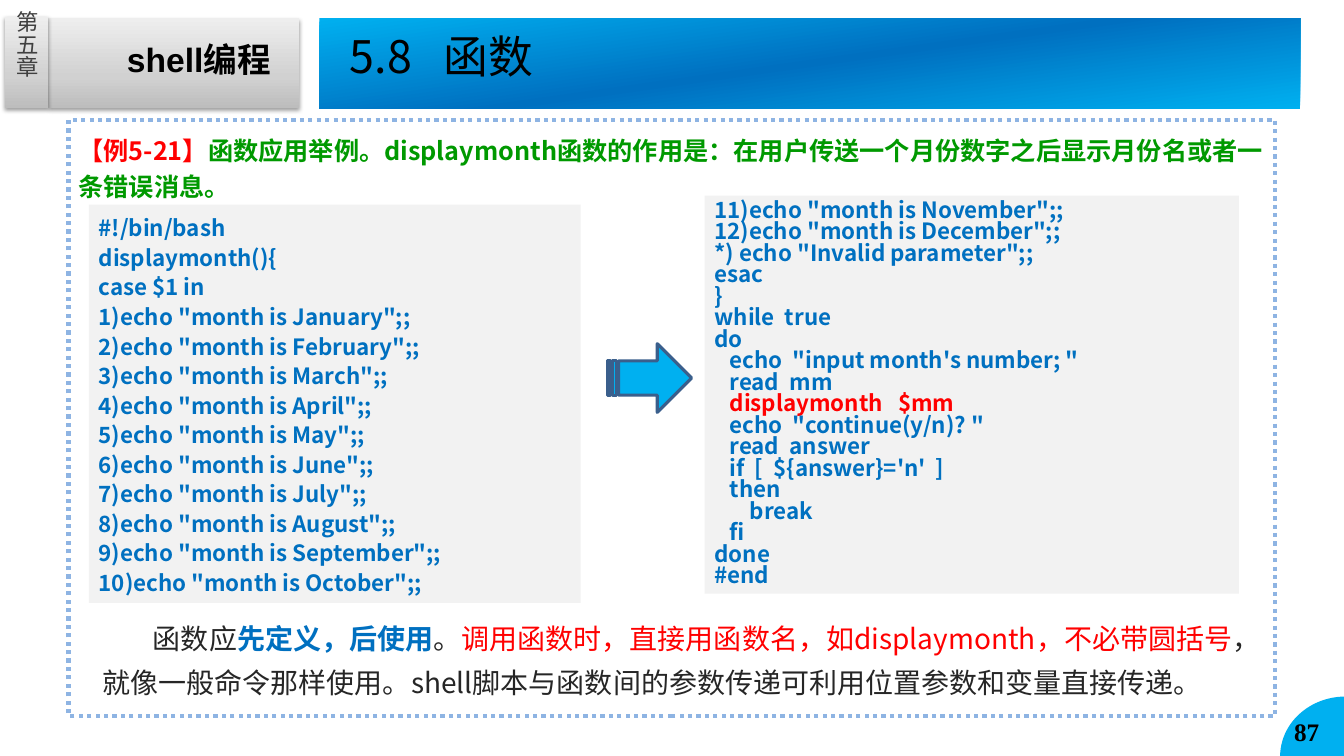
import pptx
import pptx.util
import pptx.dml.color
import pptx.enum.shapes
import pptx.enum.text
import pptx.oxml
from pptx.oxml.ns import nsdecls, qn

Pt = pptx.util.Pt
SHAPE = pptx.enum.shapes.MSO_SHAPE
ANCHOR = pptx.enum.text.MSO_ANCHOR
LEFT = pptx.enum.text.PP_ALIGN.LEFT
CJK = "Noto Sans CJK SC"
COLORS = {
    "black": "000000", "white": "FFFFFF", "ink": "262626", "grey": "404040",
    "panel": "F2F2F2", "blue": "0070C0", "sky": "00B0F0", "red": "FF0000",
    "green": "009900", "border": "8EB4E3", "edge": "3A5F8C",
}
SILVER = [(0, "BDBDBD"), (35, "D1D1D1"), (100, "EEEEEE")]
OCEAN = [(0, COLORS["sky"]), (50, COLORS["blue"]), (100, COLORS["sky"])]


def add_box(kind, x, y, w, h, fill=None, line=None, width=0):
    box = (Pt(x), Pt(y), Pt(w), Pt(h))
    if kind is None:
        sp = s.shapes.add_textbox(*box)
    else:
        sp = s.shapes.add_shape(kind, *box)
        sp.shadow.inherit = False
        if fill:
            sp.fill.solid()
            sp.fill.fore_color.rgb = pptx.dml.color.RGBColor.from_string(COLORS[fill])
        if line:
            sp.line.color.rgb = pptx.dml.color.RGBColor.from_string(COLORS[line])
            sp.line.width = Pt(width)
        else:
            sp.line.fill.background()
    sp.text_frame.word_wrap = True
    return sp


def style_runs(p, size, looks, font=CJK):
    p.alignment = LEFT
    for r, (color, bold) in zip(p.runs, looks):
        r.font.size = Pt(size)
        r.font.bold = bold
        r.font.name = font
        r.font.color.rgb = pptx.dml.color.RGBColor.from_string(COLORS[color])
        r.font.language_id = pptx.enum.lang.MSO_LANGUAGE_ID.SIMPLIFIED_CHINESE
        ea = pptx.oxml.parse_xml(f'<a:ea {nsdecls("a")} typeface="{CJK}"/>')
        r.font.element.append(ea) if hasattr(r.font, "element") else r._r.rPr.append(ea)


prs = pptx.Presentation()
prs.slide_width, prs.slide_height = Pt(960), Pt(540)
s = prs.slides.add_slide(prs.slide_layouts[5])

chapter_band = add_box(SHAPE.RECTANGLE, 34.6, 13, 179.3, 64.1)
sp = add_box(None, 72.7, 24.5, 155.5, 38.2)
sp.text_frame.margin_left = Pt(18)
sp.text_frame.text = "shell编程"
style_runs(sp.text_frame.paragraphs[0], 24, [("black", True)], "Arial")

chapter_tab = add_box(SHAPE.RECTANGLE, 3.6, 12.2, 31, 64.8)
sp = add_box(None, 8.6, 7.9, 20.9, 75.6)
tf = sp.text_frame
tf.margin_left = tf.margin_top = tf.margin_right = tf.margin_bottom = 0
tf.vertical_anchor = ANCHOR.MIDDLE
sp.element.txBody.find(qn("a:bodyPr")).set("vert", "eaVert")
tf.text = "第五章"
style_runs(tf.paragraphs[0], 16, [("grey", False)])

corner = add_box(SHAPE.PIE, 914.4, 497.5, 93.6, 85.7, "sky")
corner.adjustments[0], corner.adjustments[1] = 108, 162
sp = add_box(None, 917.3, 508.3, 51.8, 28.8)
sp.text_frame.text = "87"
style_runs(sp.text_frame.paragraphs[0], 18, [("black", True)], "Times New Roman")

banner = add_box(SHAPE.RECTANGLE, 228.2, 13, 700.6, 64.8)
for sp, stops, angle in ((chapter_band, SILVER, 270), (chapter_tab, SILVER, 270), (banner, OCEAN, 262)):
    gs = "".join(f'<a:gs pos="{pos * 1000}"><a:srgbClr val="{c}"/></a:gs>' for pos, c in stops)
    sp.element.spPr.find(qn("a:prstGeom")).addnext(pptx.oxml.parse_xml(
        f'<a:gradFill {nsdecls("a")} rotWithShape="1"><a:gsLst>{gs}</a:gsLst>'
        f'<a:lin ang="{angle * 60000}" scaled="0"/></a:gradFill>'))
for sp in (chapter_band, chapter_tab):
    sp.element.spPr.find(qn("a:effectLst")).append(pptx.oxml.parse_xml(
        f'<a:outerShdw {nsdecls("a")} blurRad="{Pt(3.1)}" dist="{Pt(1.6)}" dir="5400000" rotWithShape="0">'
        '<a:srgbClr val="000000"><a:alpha val="38000"/></a:srgbClr></a:outerShdw>'))

title = s.shapes.title
title.left, title.top, title.width, title.height = Pt(249.8), Pt(20.2), Pt(254.9), Pt(49.7)
banner.element.addnext(title.element)
tf = title.text_frame
tf.auto_size = pptx.enum.text.MSO_AUTO_SIZE.NONE
tf.margin_left = tf.margin_top = tf.margin_right = tf.margin_bottom = 0
tf.vertical_anchor = ANCHOR.TOP
tf.text = "5.8\t函数"
p = tf.paragraphs[0]
p.alignment = LEFT
p.runs[0].element if hasattr(p.runs[0], "element") else None
p._p.get_or_add_pPr().append(pptx.oxml.parse_xml(
    f'<a:tabLst {nsdecls("a")}><a:tab pos="{Pt(67)}" algn="l"/></a:tabLst>'))
style_runs(p, 32, [("black", False)])

frame = add_box(SHAPE.RECTANGLE, 49, 85.7, 861.8, 425.5, "white", "border", 3)
frame.line.dash_style = pptx.enum.dml.MSO_LINE.ROUND_DOT

INTRO = [
    ("【例5-21】", "red", True),
    ("函数应用举例。displaymonth函数的作用是：在用户传送一个月份数字之后显示月份名或者一条错误消息。", "green", True),
]
USAGE = [
    ("函数应", "ink", False),
    ("先定义，后使用", "blue", True),
    ("。", "ink", False),
    ("调用函数时，直接用函数名，如displaymonth，不必带圆括号", "red", False),
    ("，就像一般命令那样使用。shell脚本与函数间的参数传递可利用位置参数和变量直接传递。", "ink", False),
]
for box, size, spacing, after, indent, parts in (
    ((49, 88.6, 861.8, 59), 18, 1.2, 5, 0, INTRO),
    ((66.2, 433.4, 844.6, 69.8), 20, 1.3, 0, 36, USAGE),
):
    p = add_box(None, *box).text_frame.paragraphs[0]
    p.line_spacing = spacing
    p.space_after = Pt(after)
    p._p.get_or_add_pPr().set("indent", str(Pt(indent)))
    for text, color, bold in parts:
        p.add_run().text = text
    style_runs(p, size, [part[1:] for part in parts])

MONTHS = ["January", "February", "March", "April", "May", "June", "July", "August",
          "September", "October", "November", "December"]
cases = [f'{n})echo "month is {month}";;' for n, month in enumerate(MONTHS, 1)]
CALL = "   displaymonth   $mm"
definition = ["#!/bin/bash", "displaymonth(){", "case $1 in"] + cases[:10]
main_loop = cases[10:] + [
    '*) echo "Invalid parameter";;',
    "esac",
    "}",
    "while  true",
    "do",
    '   echo  "input month\'s number; "',
    "   read  mm",
    CALL,
    '   echo  "continue(y/n)? "',
    "   read  answer",
    "   if  [  ${answer}='n'  ]",
    "   then",
    "       break",
    "   fi",
    "done",
    "#end",
]
for box, spacing, lines in (
    ((63.4, 146.2, 351.4, 284.4), 1.1, definition),
    ((503.3, 139.7, 381.6, 284.4), 0.8, main_loop),
):
    tf = add_box(SHAPE.RECTANGLE, *box, "panel").text_frame
    tf.vertical_anchor = ANCHOR.MIDDLE
    tf.text = "\n".join(lines)
    for p in tf.paragraphs:
        p.line_spacing = spacing
        style_runs(p, 16, [("red" if p.text == CALL else "blue", True)])

add_box(SHAPE.STRIPED_RIGHT_ARROW, 434.2, 245.5, 59.8, 49, "sky", "edge", 2.25)

prs.save("out.pptx")
